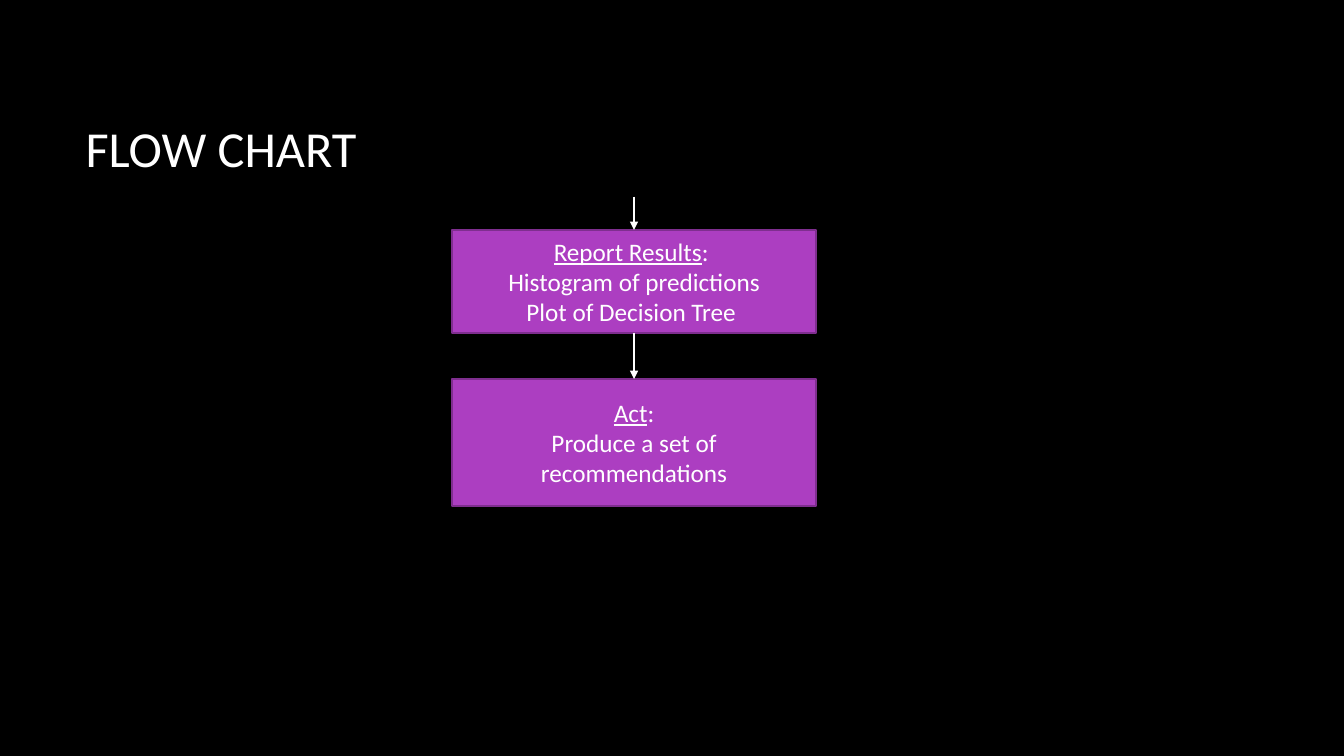
"""Build the closing flow chart slide: report results, then act."""
from dataclasses import dataclass

from lxml.etree import SubElement
from pptx import Presentation
from pptx.dml.color import RGBColor
from pptx.enum.shapes import MSO_CONNECTOR, MSO_SHAPE
from pptx.enum.text import MSO_ANCHOR, PP_ALIGN
from pptx.oxml.ns import qn
from pptx.shapes.autoshape import Shape
from pptx.shapes.connector import Connector
from pptx.slide import Slide
from pptx.text.text import TextFrame
from pptx.util import Pt

BLACK = RGBColor(0x00, 0x00, 0x00)
WHITE = RGBColor(0xFF, 0xFF, 0xFF)
PURPLE = RGBColor(0xAC, 0x3E, 0xC1)
DARK_PURPLE = RGBColor(0x7F, 0x2E, 0x8F)

FONT = "Calibri"
LINE_WIDTH = 1.5
STEP_LEFT, STEP_WIDTH = 322.6, 260.6
STEP_CENTER = STEP_LEFT + STEP_WIDTH / 2
FLOW_TOP = 140.4
TOP_SIDE, BOTTOM_SIDE = 0, 2


@dataclass(frozen=True)
class Step:
    """One box of the flow, with an underlined heading and its details."""

    top: float
    height: float
    heading: str
    heading_end: str
    details: tuple[str, ...]


STEPS = (
    Step(164.2, 73.4, "Report Results", ": ",
         ("Histogram of predictions", "Plot of Decision Tree ")),
    Step(270.7, 90.7, "Act", ":", ("Produce a set of recommendations",)),
)


def write(frame: TextFrame, lines: list[list[str]], *, size: float,
          align: PP_ALIGN, underline_first: bool = False) -> None:
    """Fill a frame with one paragraph per line and one run per piece."""
    frame.word_wrap = True
    frame.vertical_anchor = MSO_ANCHOR.MIDDLE
    for row, pieces in enumerate(lines):
        paragraph = frame.add_paragraph() if row else frame.paragraphs[0]
        paragraph.alignment = align
        for column, piece in enumerate(pieces):
            run = paragraph.add_run()
            run.text = piece
            run.font.name = FONT
            run.font.size = Pt(size)
            run.font.color.rgb = WHITE
            run.font.underline = underline_first and row == column == 0


def add_step(slide: Slide, step: Step) -> Shape:
    """Draw one step box with its text."""
    box = slide.shapes.add_shape(MSO_SHAPE.RECTANGLE, Pt(STEP_LEFT), Pt(step.top),
                                 Pt(STEP_WIDTH), Pt(step.height))
    box.shadow.inherit = False
    box.fill.solid()
    box.fill.fore_color.rgb = PURPLE
    box.line.color.rgb = DARK_PURPLE
    box.line.width = Pt(LINE_WIDTH)
    lines = [[step.heading, step.heading_end], *([detail] for detail in step.details)]
    write(box.text_frame, lines, size=18, align=PP_ALIGN.CENTER, underline_first=True)
    return box


def add_arrow(slide: Slide, start: float, end: float) -> Connector:
    """Draw a downward arrow on the centre line of the flow."""
    arrow = slide.shapes.add_connector(MSO_CONNECTOR.STRAIGHT, Pt(STEP_CENTER),
                                       Pt(start), Pt(STEP_CENTER), Pt(end))
    arrow.line.color.rgb = WHITE
    arrow.line.width = Pt(LINE_WIDTH)
    properties = arrow.line._get_or_add_ln()
    SubElement(properties, qn("a:tailEnd"), type="triangle")
    SubElement(properties.getparent(), qn("a:effectLst"))
    return arrow


def main() -> None:
    """Compose the slide and save it."""
    deck = Presentation()
    deck.slide_width, deck.slide_height = Pt(960), Pt(540)
    slide = deck.slides.add_slide(deck.slide_layouts[6])
    slide.background.fill.solid()
    slide.background.fill.fore_color.rgb = BLACK

    title = slide.shapes.add_textbox(Pt(54), Pt(48.2), Pt(797.8), Pt(114.5))
    write(title.text_frame, [["FLOW CHART"]], size=36, align=PP_ALIGN.LEFT)

    boxes = [add_step(slide, step) for step in STEPS]
    start = FLOW_TOP
    for index, (step, box) in enumerate(zip(STEPS, boxes)):
        arrow = add_arrow(slide, start, step.top)
        if index:
            arrow.begin_connect(boxes[index - 1], BOTTOM_SIDE)
        arrow.end_connect(box, TOP_SIDE)
        start = step.top + step.height

    deck.save("out.pptx")


if __name__ == "__main__":
    main()
